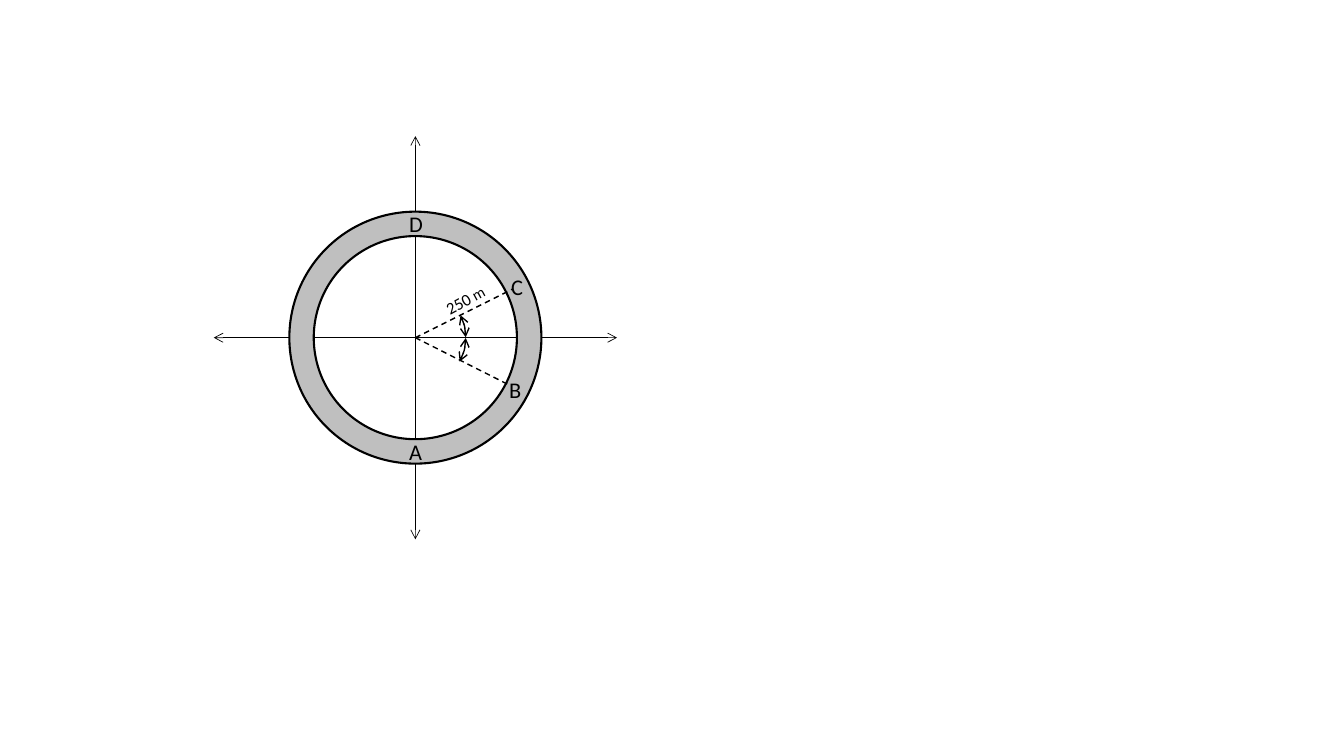
from dataclasses import dataclass

from lxml import etree
from pptx import Presentation
from pptx import util as u
from pptx.dml.color import RGBColor
from pptx.enum import dml, shapes, text
from pptx.oxml.ns import qn

PX = 9144  # EMU per px, 100 px to the inch


@dataclass(frozen=True)
class Theme:
    font: str = "Calibri"
    ink: RGBColor = RGBColor(0, 0, 0)
    ring: RGBColor = RGBColor(0xBF, 0xBF, 0xBF)
    letter_size: int = 16
    number_size: int = 12
    unit_size: int = 11
    axis_width: float = 0.5
    ray_width: float = 1
    ring_width: float = 1.5


THEME = Theme()


def px(*lengths):
    return [u.Emu(length * PX) for length in lengths]


def style_line(item, width, arrows=False):
    item.line.color.rgb = THEME.ink
    item.line.width = u.Pt(width)
    if arrows:
        outline = item.line._get_or_add_ln()
        for end in ("a:headEnd", "a:tailEnd"):
            etree.SubElement(outline, qn(end), type="arrow")


def add_line(page, start, end, width, arrows=False):
    line = page.shapes.add_connector(shapes.MSO_CONNECTOR.STRAIGHT, *px(*start, *end))
    style_line(line, width, arrows)
    etree.SubElement(line._element.spPr, qn("a:effectLst"))
    return line


def add_circle_part(page, kind, center, radius):
    x, y = center
    part = page.shapes.add_shape(kind, *px(x - radius, y - radius, 2 * radius, 2 * radius))
    part.shadow.inherit = False
    return part


def add_label(page, left, top, width, height, spans, rotation=0):
    box = page.shapes.add_textbox(*px(left, top, width, height))
    box.rotation = rotation
    box.text_frame.word_wrap = True
    box.text_frame.auto_size = text.MSO_AUTO_SIZE.SHAPE_TO_FIT_TEXT
    para = box.text_frame.paragraphs[0]
    para.font.name = THEME.font
    para.font.color.rgb = THEME.ink
    for words, size in spans:
        span = para.add_run()
        span.text = words
        span.font.size = u.Pt(size)


def draw_ring_road(page, left, top, size):
    half = size // 2
    x, y = center = (left + half, top + half)

    # Axes
    add_line(page, (left, y), (left + size, y), THEME.axis_width, arrows=True)
    add_line(page, (x, top), (x, top + size), THEME.axis_width, arrows=True)

    # Ring
    ring = add_circle_part(page, shapes.MSO_SHAPE.DONUT, center, 125)
    ring.adjustments[0] = 0.097
    ring.fill.solid()
    ring.fill.fore_color.rgb = THEME.ring
    style_line(ring, THEME.ring_width)

    # Radius and its length
    add_label(page, x + 23, y - 56, 69, 49,
              [("250", THEME.number_size), (" m", THEME.unit_size)], rotation=331.5)
    for dx, dy in ((96, -48), (93, 47)):
        ray = add_line(page, center, (x + dx, y + dy), THEME.ray_width)
        ray.line.dash_style = dml.MSO_LINE.DASH

    # Points on the ring
    points = {"B": (83, 33), "C": (85, -69), "D": (-16, -131), "A": (-16, 95)}
    for letter, (dx, dy) in points.items():
        add_label(page, x + dx, y + dy, 41, 37, [(letter, THEME.letter_size)])

    # Angles below and above the horizontal axis, in degrees clockwise
    for angles in ((0.4, 28.4), (333.6, 359.6)):
        arc = add_circle_part(page, shapes.MSO_SHAPE.ARC, center, 50)
        for index, angle in enumerate(angles):
            arc.adjustments[index] = angle * 0.6  # 60000 units a degree, over 100000
        arc.fill.background()
        style_line(arc, THEME.ray_width, arrows=True)


def main():
    deck = Presentation()
    deck.slide_width, deck.slide_height = px(1333, 750)
    page = deck.slides.add_slide(deck.slide_layouts[6])
    draw_ring_road(page, 212, 135, 400)
    deck.save("out.pptx")


if __name__ == "__main__":
    main()
